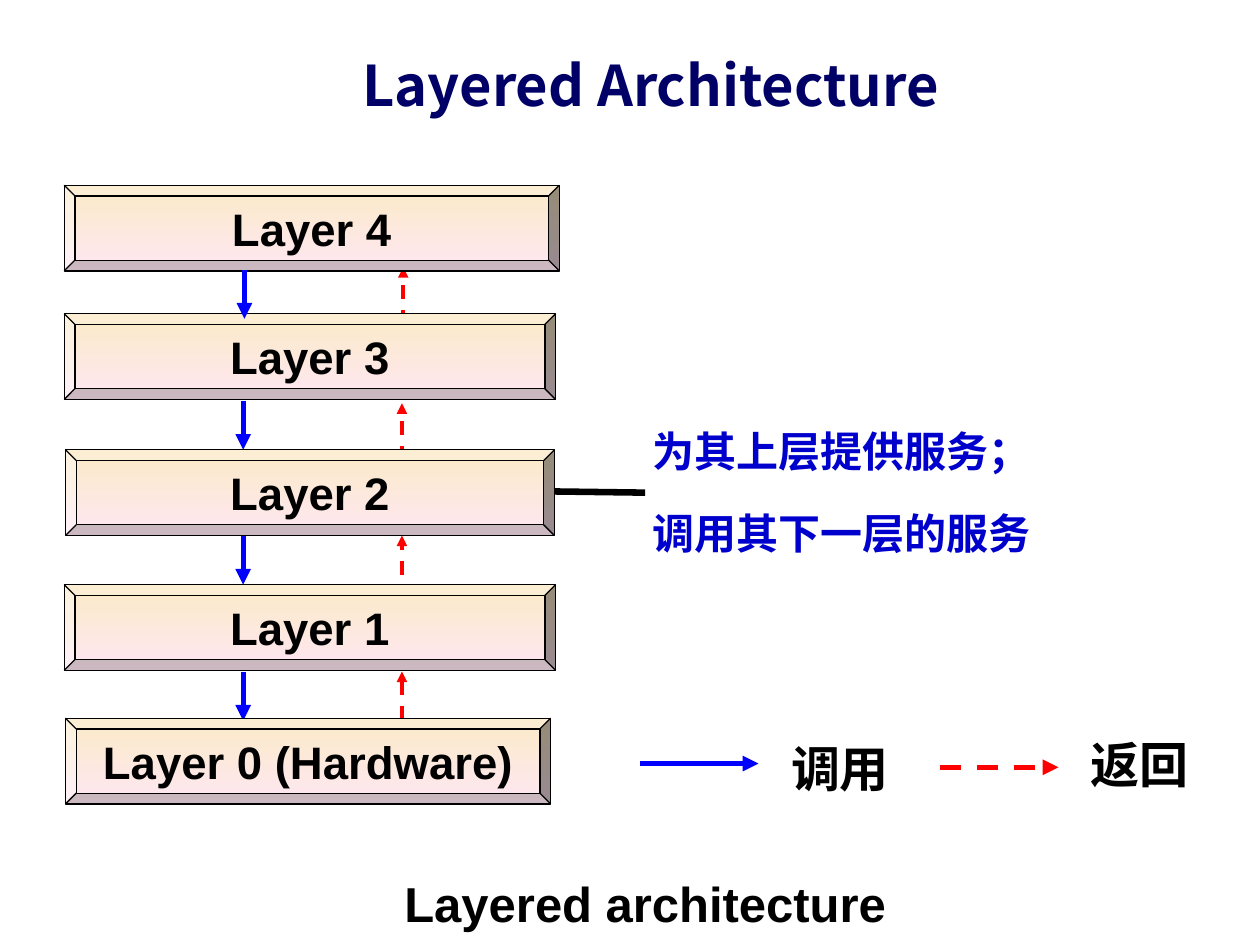
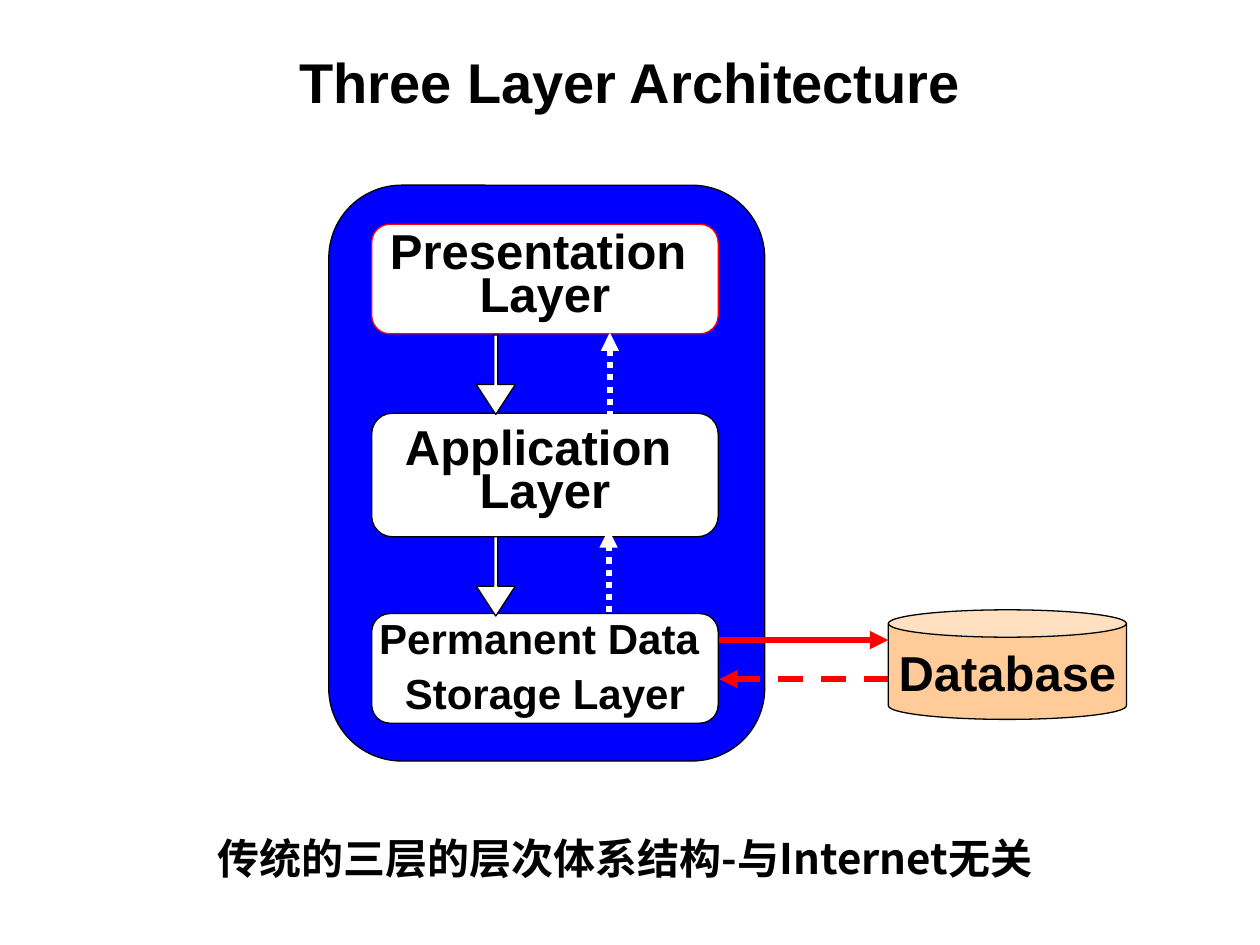
"""Build two slides on layered architecture."""
from dataclasses import dataclass

from lxml.etree import SubElement
from pptx import Presentation
from pptx.dml.color import RGBColor
from pptx.enum.dml import MSO_LINE as Dash
from pptx.enum.shapes import MSO_CONNECTOR as Link, MSO_SHAPE as Form
from pptx.enum.text import MSO_ANCHOR as Anchor, MSO_AUTO_SIZE as Fit, PP_ALIGN as Align
from pptx.oxml.ns import qn
from pptx.util import Inches, Pt


@dataclass(frozen=True)
class Theme:
    black: str = "000000"
    white: str = "FFFFFF"
    blue: str = "0000FF"
    red: str = "FF0000"
    navy: str = "000066"
    note: str = "0000CC"
    peach: str = "FFCC99"
    fade: tuple = ("FBEAC7", "FEE7F2")
    latin: str = "Arial"
    han: str = "Noto Sans CJK SC"
    head: int = 32
    big: int = 28
    mid: int = 26
    small: int = 24
    edge: float = 0.75


class Deck:
    def __init__(self, theme):
        self.theme = theme
        self.show = Presentation()
        self.show.slide_width, self.show.slide_height = Inches(10), Inches(7.5)
        self.slide = None

    def start(self, text, box, font, color):
        self.slide = self.show.slides.add_slide(self.show.slide_layouts[5])
        title = self.slide.shapes.title
        title.left, title.top, title.width, title.height = map(Inches, box)
        frame = title.text_frame
        frame.auto_size, frame.vertical_anchor = Fit.NONE, Anchor.MIDDLE
        self.fill_text(frame, [text], self.theme.head, font, color)

    def fill_text(self, frame, lines, size, font=None, color=None,
                  align=Align.CENTER, lead=None, before=0, after=0):
        font = font or self.theme.latin
        for i, line in enumerate(lines):
            para = frame.add_paragraph() if i else frame.paragraphs[0]
            para.alignment = align
            para.space_before, para.space_after = Pt(before), Pt(after)
            if lead:
                para.line_spacing = lead
            run = para.add_run()
            run.text = line
            run.font.size, run.font.bold, run.font.name = Pt(size), True, font
            run.font.color.rgb = RGBColor.from_string(color or self.theme.black)
            SubElement(run.font._element, qn("a:ea"), typeface=self.theme.han)

    def label(self, box, lines, size, **style):
        frame = self.slide.shapes.add_textbox(*map(Inches, box)).text_frame
        frame.word_wrap, frame.auto_size = True, Fit.SHAPE_TO_FIT_TEXT
        self.fill_text(frame, lines, size, **style)

    def shape(self, form, box, fill, lines=(), size=0, edge=None, adjust=(), **style):
        item = self.slide.shapes.add_shape(form, *map(Inches, box))
        item.shadow.inherit = False
        for i, ratio in enumerate(adjust):
            item.adjustments[i] = ratio
        if isinstance(fill, tuple):
            item.fill.gradient()
            item.fill.gradient_angle = 270
            for i, (stop, tint) in enumerate(zip(item.fill.gradient_stops, fill)):
                stop.position, stop.color.rgb = i, RGBColor.from_string(tint)
        else:
            item.fill.solid()
            item.fill.fore_color.rgb = RGBColor.from_string(fill)
        item.line.color.rgb = RGBColor.from_string(edge or self.theme.black)
        item.line.width = Pt(self.theme.edge)
        frame = item.text_frame
        frame.word_wrap, frame.vertical_anchor = False, Anchor.MIDDLE
        self.fill_text(frame, lines, size, **style)

    def line(self, ends, color, width, dash=None, arrow=True):
        item = self.slide.shapes.add_connector(Link.STRAIGHT, *map(Inches, ends))
        item.line.color.rgb = RGBColor.from_string(color)
        item.line.width = Pt(width)
        if dash:
            item.line.dash_style = dash
        if arrow:
            SubElement(item.line._get_or_add_ln(), qn("a:tailEnd"), type="triangle")
        SubElement(item._element.spPr, qn("a:effectLst"))


def stack(deck):
    look = deck.theme
    deck.start("Layered Architecture", (1.85, 0.28, 6.63, 0.77), look.han, look.navy)
    for x, low, high in ((3.2, 2.57, 2.12), (3.19, 3.65, 3.2),
                         (3.19, 4.76, 4.25), (3.19, 5.91, 5.33)):
        deck.line((x, low, x, high), look.red, 2, Dash.DASH)
    for top in (3.18, 4.25, 5.33):
        deck.line((1.93, top, 1.93, top + 0.39), look.blue, 3)
    deck.line((4.37, 3.9, 5.12, 3.91), look.black, 3.75, arrow=False)
    deck.label((5.08, 3.25, 3.32, 1.23), ["为其上层提供服务；", "调用其下一层的服务"],
               look.small, font=look.han, color=look.note, align=Align.LEFT,
               lead=1.2, before=6, after=6)
    for name, left, top, width in (("Layer 4", 0.51, 1.47, 3.93),
                                   ("Layer 3", 0.51, 2.49, 3.9),
                                   ("Layer 2", 0.52, 3.57, 3.88),
                                   ("Layer 1", 0.51, 4.64, 3.9),
                                   ("Layer 0 (Hardware)", 0.52, 5.7, 3.85)):
        deck.shape(Form.BEVEL, (left, top, width, 0.68), look.fade, [name], look.mid)
    deck.line((1.94, 2.14, 1.94, 2.53), look.blue, 3)
    for name, x, y, top, color, dash in (("调用", 5.08, 6.06, 5.81, look.blue, None),
                                         ("返回", 7.46, 6.09, 5.78, look.red, Dash.DASH)):
        deck.line((x, y, x + 0.94, y), color, 3, dash)
        deck.label((x + 1.1, top, 1.02, 0.57), [name], look.big,
                   align=Align.LEFT, before=17.5)
    deck.label((2.09, 6.88, 6.06, 0.57), ["Layered architecture"], look.big, before=17.5)


def tiers(deck):
    look = deck.theme
    deck.start("Three Layer Architecture", (0.5, 0.3, 9, 0.69), look.latin, look.black)
    deck.shape(Form.ROUNDED_RECTANGLE, (2.61, 1.47, 3.46, 4.57), look.blue,
               adjust=(0.167,))
    for lines, top, tall, size, edge, before in (
            (["Presentation ", "Layer"], 1.78, 0.87, look.big, look.red, 0),
            (["Application ", "Layer"], 3.28, 0.98, look.big, look.black, 0),
            (["Permanent Data ", "Storage Layer"], 4.87, 0.87, look.small, look.black, 6)):
        deck.shape(Form.ROUNDED_RECTANGLE, (2.95, top, 2.75, tall), look.white, lines,
                   size, edge, (0.167,), lead=Pt(25), before=before)
    for top in (2.66, 4.26):
        deck.shape(Form.DOWN_ARROW, (3.78, top, 0.31, 0.63), look.white,
                   adjust=(0.106, 0.766))
    for x, low, high in ((4.84, 3.31, 2.64), (4.83, 4.86, 4.2)):
        deck.line((x, low, x, high), look.white, 3.5, Dash.ROUND_DOT)
    deck.shape(Form.CAN, (7.05, 4.84, 1.89, 0.87), look.peach, ["Database"], look.big,
               adjust=(0.25,))
    deck.line((5.71, 5.08, 7.05, 5.08), look.red, 3.5)
    deck.line((7.05, 5.39, 5.71, 5.39), look.red, 3.5, Dash.DASH)
    deck.label((1.3, 6.56, 7.32, 0.5), ["传统的三层的层次体系结构-与Internet无关"],
               look.small, font=look.han, before=6)


def main():
    deck = Deck(Theme())
    stack(deck)
    tiers(deck)
    deck.show.save("out.pptx")


if __name__ == "__main__":
    main()
